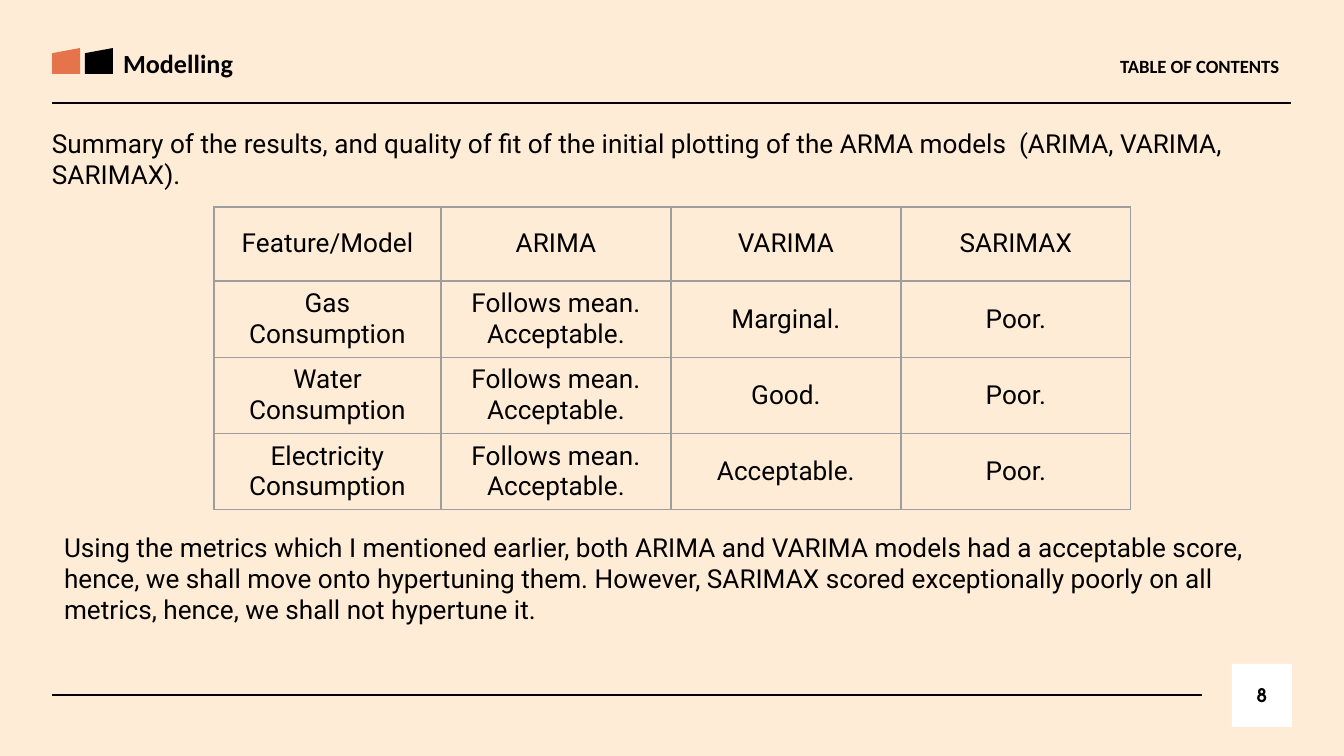
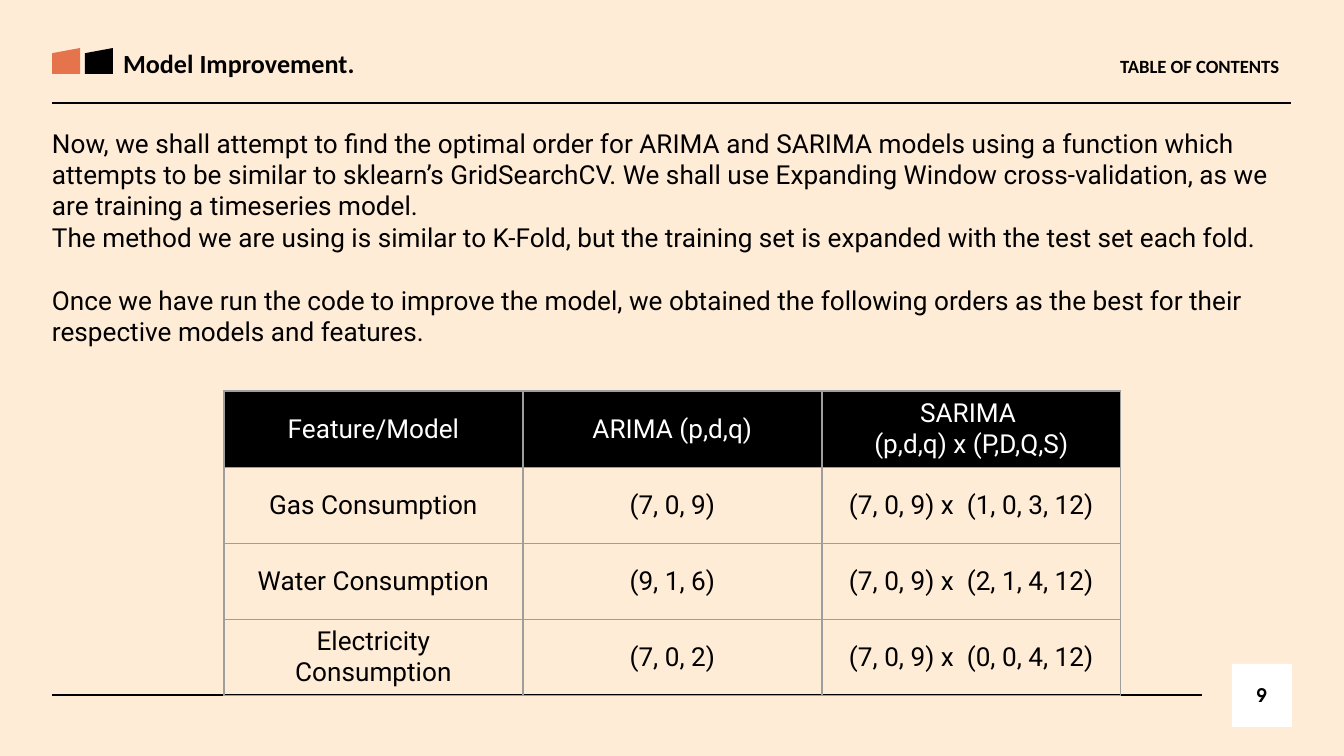
from lxml.etree import SubElement
from pptx import Presentation
from pptx.dml.color import RGBColor
from pptx.enum.shapes import MSO_CONNECTOR as Connector, MSO_SHAPE as Preset
from pptx.enum.text import MSO_ANCHOR as Anchor, PP_ALIGN as Align
from pptx.oxml.ns import qn
from pptx.util import Emu, Pt

EMU_PER_PX = 914400 / 134.4
COLORS = {
    "paper": "FFECD6",
    "ink": "000000",
    "accent": "E5744C",
    "white": "FFFFFF",
    "grid": "9E9E9E",
}
HEADING_FONT, BODY_FONT, NUMBER_FONT = "Calibri", "Roboto", "TeX Gyre Adventor"
LINE_WIDTH = Pt(0.75)


def px(value):
    return Emu(round(value * EMU_PER_PX))


def color(name):
    return RGBColor.from_string(COLORS[name])


def write(frame, text, font=BODY_FONT, size=14, ink="ink", bold=False,
          align=Align.LEFT, gaps=None):
    for index, line in enumerate(text.split("\n")):
        para = frame.add_paragraph() if index else frame.paragraphs[0]
        para.alignment = align
        para.space_before = Pt((gaps or {}).get(index, 0))
        span = para.add_run()
        span.text = line
        span.font.name, span.font.size, span.font.bold = font, Pt(size), bold
        span.font.color.rgb = color(ink)


class Deck:
    def __init__(self):
        self.deck = Presentation()
        self.deck.slide_width, self.deck.slide_height = px(1344), px(756)
        self.page = None

    def add_page(self, title, number):
        self.page = self.deck.slides.add_slide(self.deck.slide_layouts[6])
        background = self.page.background.fill
        background.solid()
        background.fore_color.rgb = color("paper")
        self.rule(52, 1291, 103)
        self.rule(52, 1202, 695)
        badge = self.shape(Preset.RECTANGLE, (1232, 664, 60, 63), "white")
        self.fit(badge.text_frame, Anchor.MIDDLE, 13)
        write(badge.text_frame, str(number), font=NUMBER_FONT, size=10,
              bold=True, align=Align.CENTER)
        self.text("TABLE OF CONTENTS", (926, 35, 366, 63), anchor=Anchor.MIDDLE,
                  inset=13, font=HEADING_FONT, size=10, bold=True, align=Align.RIGHT)
        self.text(title, (110, 34, 684, 59), inset=13, font=HEADING_FONT, bold=True)
        for left, fill in ((52, "accent"), (85, "ink")):
            self.shape(Preset.FLOWCHART_MANUAL_INPUT, (left, 48, 28, 26), fill)

    def rule(self, left, right, top):
        line = self.page.shapes.add_connector(
            Connector.STRAIGHT, px(left), px(top), px(right), px(top))
        line.line.color.rgb = color("ink")
        line.line.width = LINE_WIDTH
        SubElement(line._element.spPr, qn("a:effectLst"))

    def shape(self, preset, area, fill):
        shape = self.page.shapes.add_shape(preset, *map(px, area))
        shape.shadow.inherit = False
        shape.fill.solid()
        shape.fill.fore_color.rgb = color(fill)
        shape.line.fill.background()
        return shape

    def fit(self, frame, anchor, inset):
        frame.word_wrap = True
        frame.vertical_anchor = anchor
        frame.margin_left = frame.margin_right = px(13)
        frame.margin_top = frame.margin_bottom = px(inset)

    def text(self, text, area, anchor=Anchor.TOP, inset=7, **style):
        box = self.page.shapes.add_textbox(*map(px, area))
        self.fit(box.text_frame, anchor, inset)
        write(box.text_frame, text, **style)

    def table(self, rows, left, top, widths, heights, dark_header=False):
        table = self.page.shapes.add_table(
            len(rows), len(widths), px(left), px(top),
            px(sum(widths)), px(sum(heights))).table
        table.first_row = table.horz_banding = False
        for column, width in zip(table.columns, widths):
            column.width = px(width)
        for row, height in zip(table.rows, heights):
            row.height = px(height)
        for row_index, texts in enumerate(rows):
            dark = dark_header and row_index == 0
            for column_index, text in enumerate(texts):
                cell = table.cell(row_index, column_index)
                cell.vertical_anchor = Anchor.MIDDLE
                self.borders(cell)
                if dark:
                    cell.fill.solid()
                    cell.fill.fore_color.rgb = color("ink")
                else:
                    cell.fill.background()
                write(cell.text_frame, text, align=Align.CENTER,
                      ink="white" if dark else "ink")

    def borders(self, cell):
        properties = cell._tc.get_or_add_tcPr()
        for side in "LRTB":
            line = SubElement(properties, qn(f"a:ln{side}"), w=str(LINE_WIDTH))
            fill = SubElement(line, qn("a:solidFill"))
            SubElement(fill, qn("a:srgbClr"), val=COLORS["grid"])


def main():
    deck = Deck()

    deck.add_page("Modelling", 8)
    deck.text("Summary of the results, and quality of fit of the initial plotting of "
              "the ARMA models  (ARIMA, VARIMA, SARIMAX).", (39, 120, 1266, 109))
    fit_quality = [("Feature/Model", "ARIMA", "VARIMA", "SARIMAX")] + [
        (f"{feature} Consumption", "Follows mean. Acceptable.", varima, "Poor.")
        for feature, varima in (("Gas", "Marginal."), ("Water", "Good."),
                                ("Electricity", "Acceptable."))]
    deck.table(fit_quality, 214, 207, [227] + [230] * 3, [74] + [76] * 3)
    deck.text("Using the metrics which I mentioned earlier, both ARIMA and VARIMA "
              "models had a acceptable score, hence, we shall move onto hypertuning "
              "them. However, SARIMAX scored exceptionally poorly on all metrics, "
              "hence, we shall not hypertune it.", (51, 524, 1240, 109))

    deck.add_page("Model Improvement.", 9)
    deck.text("Now, we shall attempt to find the optimal order for ARIMA and SARIMA "
              "models using a function which attempts to be similar to sklearn’s "
              "GridSearchCV. We shall use Expanding Window cross-validation, as we "
              "are training a timeseries model.\n"
              "The method we are using is similar to K-Fold, but the training set is "
              "expanded with the test set each fold.\n"
              "Once we have run the code to improve the model, we obtained the "
              "following orders as the best for their respective models and features.",
              (39, 120, 1266, 267), gaps={2: 17})
    best_orders = [
        ("Feature/Model", "ARIMA (p,d,q)", "SARIMA \n(p,d,q) x (P,D,Q,S)"),
        ("Gas Consumption", "(7, 0, 9)", "(7, 0, 9) x  (1, 0, 3, 12)"),
        ("Water Consumption", "(9, 1, 6)", "(7, 0, 9) x  (2, 1, 4, 12)"),
        ("Electricity Consumption", "(7, 0, 2)", "(7, 0, 9) x  (0, 0, 4, 12)"),
    ]
    deck.table(best_orders, 224, 391, [299] * 3, [76] * 4, dark_header=True)

    deck.deck.save("out.pptx")


if __name__ == "__main__":
    main()
